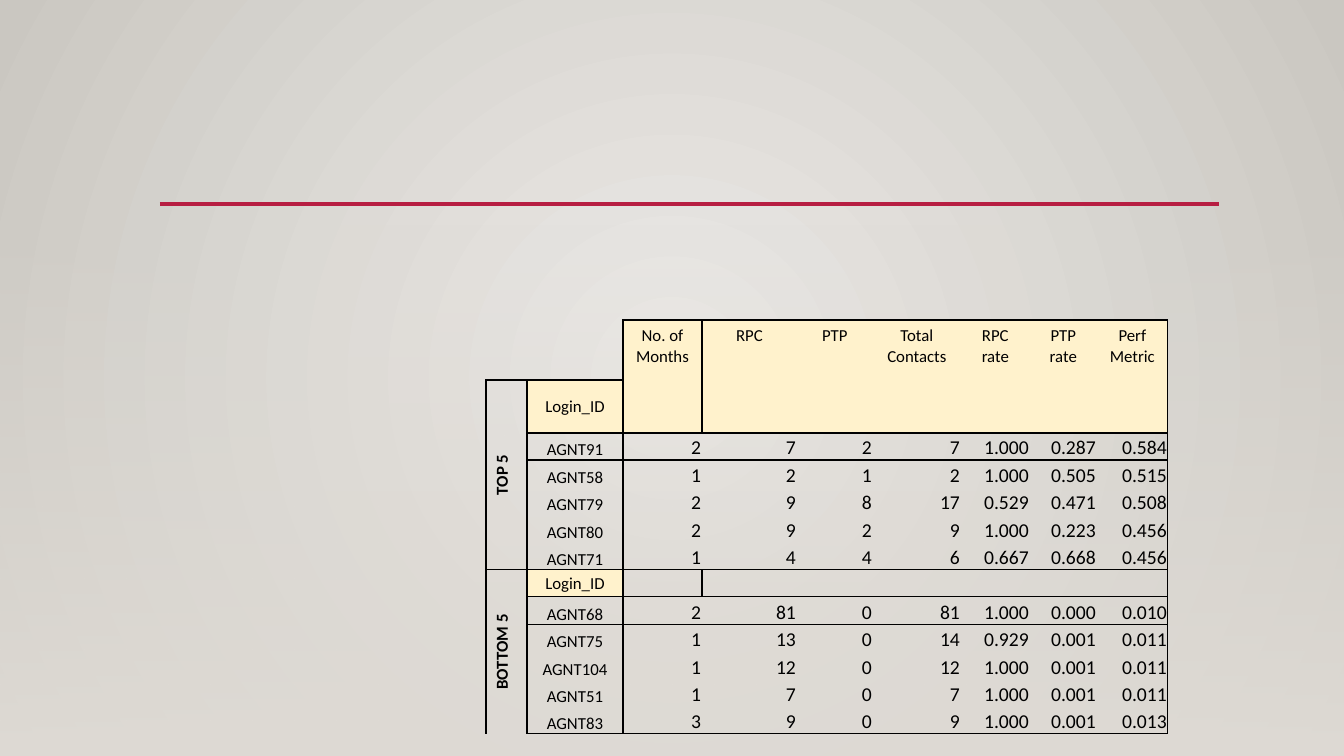
from lxml import etree
from pptx import Presentation
from pptx.dml.color import RGBColor
from pptx.enum.shapes import MSO_CONNECTOR, MSO_SHAPE
from pptx.enum.text import MSO_ANCHOR, PP_ALIGN
from pptx.oxml.ns import qn
from pptx.util import Pt

LEFT, CENTER, RIGHT = PP_ALIGN.LEFT, PP_ALIGN.CENTER, PP_ALIGN.RIGHT
TOP, MIDDLE, BOTTOM = MSO_ANCHOR.TOP, MSO_ANCHOR.MIDDLE, MSO_ANCHOR.BOTTOM
FONT, BLACK, CREAM, RED = "Calibri", "000000", "FFF2CC", "B71E42"
NO_STYLE = "{2D5ABB26-0587-4C30-8999-92F81FD0307C}"

# Content
HEADERS = ["No. of Months", "RPC", "PTP", "Total Contacts", "RPC rate", "PTP rate", "Perf Metric"]
GROUPS = [
    ("TOP 5", [
        ("AGNT91", "2", "7", "2", "7", "1.000", "0.287", "0.584"),
        ("AGNT58", "1", "2", "1", "2", "1.000", "0.505", "0.515"),
        ("AGNT79", "2", "9", "8", "17", "0.529", "0.471", "0.508"),
        ("AGNT80", "2", "9", "2", "9", "1.000", "0.223", "0.456"),
        ("AGNT71", "1", "4", "4", "6", "0.667", "0.668", "0.456"),
    ]),
    ("BOTTOM 5", [
        ("AGNT68", "2", "81", "0", "81", "1.000", "0.000", "0.010"),
        ("AGNT75", "1", "13", "0", "14", "0.929", "0.001", "0.011"),
        ("AGNT104", "1", "12", "0", "12", "1.000", "0.001", "0.011"),
        ("AGNT51", "1", "7", "0", "7", "1.000", "0.001", "0.011"),
        ("AGNT83", "3", "9", "0", "9", "1.000", "0.001", "0.013"),
    ]),
]

# Layout in pixels
PAGE_W, PAGE_H = 1344, 756
TABLE_LEFT, TABLE_TOP = 486, 320
COLUMN_WIDTHS = [41, 96, 79, 95, 76, 88, 69, 67, 71]
ROW_EDGES = [320, 380] + [round(433 + 27.4 * step) for step in range(12)]
ROWS, COLUMNS = len(ROW_EDGES) - 1, len(COLUMN_WIDTHS)
GROUP_ROWS = 6
# Ruled lines: (edge number, first cell, end cell)
ROW_RULES = [(0, 2, 9), (1, 0, 2), (2, 1, 9), (7, 0, 9), (8, 1, 9), (13, 0, 9)]
COLUMN_RULES = [(0, 1, 13), (1, 1, 13), (2, 0, 2), (2, 7, 8), (9, 0, 13)]


def px(value):
    return round(value * 914400 / 100.8)


def color(value):
    return RGBColor.from_string(value)


def set_gradient(fill, start, end):
    fill.gradient()
    for stop, value in zip(fill.gradient_stops, (start, end)):
        stop.color.rgb = color(value)


def set_cell(row, column, text, size=12, align=CENTER, anchor=BOTTOM,
             margins=(1, 1, 1, 0), bold=False, fill=None):
    cell = table.cell(row, column)
    cell.text = text
    cell.vertical_anchor = anchor
    cell.margin_left, cell.margin_top, cell.margin_right, cell.margin_bottom = map(px, margins)
    if fill:
        cell.fill.solid()
        cell.fill.fore_color.rgb = color(fill)
    else:
        cell.fill.background()
    para = cell.text_frame.paragraphs[0]
    para.alignment = align
    for span in para.runs:
        span.font.name, span.font.size, span.font.bold = FONT, Pt(size), bold
        span.font.color.rgb = color(BLACK)
    if not text:
        etree.SubElement(para._p, qn("a:endParaRPr"), sz=str(size * 100))
    return cell


def add_border(cell, side):
    line = etree.Element(qn("a:ln" + side), w=str(Pt(1)))
    fill = etree.SubElement(line, qn("a:solidFill"))
    etree.SubElement(fill, qn("a:srgbClr"), val=BLACK)
    properties = cell._tc.get_or_add_tcPr()
    earlier = [qn("a:ln" + name) for name in "LRTB"["LRTB".index(side)::-1]]
    properties.insert(sum(child.tag in earlier for child in properties), line)


deck = Presentation()
deck.slide_width, deck.slide_height = px(PAGE_W), px(PAGE_H)
page = deck.slides.add_slide(deck.slide_layouts[6])

# Radial background
set_gradient(page.background.fill, "ECEAE7", "CAC7C1")
radial = next(page.element.iter(qn("a:gradFill")))
radial.remove(radial.find(qn("a:lin")))
circle = etree.SubElement(radial, qn("a:path"), path="circle")
etree.SubElement(circle, qn("a:fillToRect"), l="50000", t="50000", r="50000", b="50000")

# Fade over the lower part
fade = page.shapes.add_shape(MSO_SHAPE.RECTANGLE, 0, px(223), px(PAGE_W), px(PAGE_H - 223))
fade.shadow.inherit = False
fade.line.fill.background()
set_gradient(fade.fill, "DFDBD5", "DFDBD5")
fade.fill.gradient_angle = 270
first_stop = next(fade._element.spPr.iter(qn("a:srgbClr")))
etree.SubElement(first_stop, qn("a:alpha"), val="0")

# Red rule
rule = page.shapes.add_connector(MSO_CONNECTOR.STRAIGHT, px(160), px(204), px(1219), px(204))
rule.line.color.rgb = color(RED)
rule.line.width = Pt(2.5)
etree.SubElement(rule._element.spPr, qn("a:effectLst"))

# Agent table
frame = page.shapes.add_table(ROWS, COLUMNS, px(TABLE_LEFT), px(TABLE_TOP),
                              px(sum(COLUMN_WIDTHS)), px(ROW_EDGES[-1] - TABLE_TOP))
table = frame.table
table.first_row = table.horz_banding = False
table._tbl.tblPr.find(qn("a:tableStyleId")).text = NO_STYLE
for column, width in zip(table.columns, COLUMN_WIDTHS):
    column.width = px(width)
for row, top, bottom in zip(table.rows, ROW_EDGES, ROW_EDGES[1:]):
    row.height = px(bottom - top)
for row in range(ROWS):
    for column in range(COLUMNS):
        set_cell(row, column, "")

# Column headings
for column, heading in enumerate(HEADERS, 2):
    table.cell(0, column).merge(table.cell(1, column))
    set_cell(0, column, heading, anchor=TOP, margins=(12, 6, 12, 6), fill=CREAM)

# Agent groups
for group, (name, agents) in enumerate(GROUPS):
    first = 1 + group * GROUP_ROWS
    table.cell(first, 0).merge(table.cell(first + GROUP_ROWS - 1, 0))
    label = set_cell(first, 0, name, anchor=TOP, margins=(12, 6, 12, 6), bold=True)
    label._tc.get_or_add_tcPr().set("vert", "vert270")
    set_cell(first, 1, "Login_ID", anchor=MIDDLE, fill=CREAM)
    for row, (login, *values) in enumerate(agents, first + 1):
        set_cell(row, 1, login)
        for column, value in enumerate(values, 2):
            set_cell(row, column, value, size=14, align=RIGHT)

# Borders, set on both cells that share an edge
for edge, start, end in ROW_RULES:
    for column in range(start, end):
        if edge < ROWS:
            add_border(table.cell(edge, column), "T")
        if edge > 0:
            add_border(table.cell(edge - 1, column), "B")
for edge, start, end in COLUMN_RULES:
    for row in range(start, end):
        if edge < COLUMNS:
            add_border(table.cell(row, edge), "L")
        if edge > 0:
            add_border(table.cell(row, edge - 1), "R")

deck.save("out.pptx")
